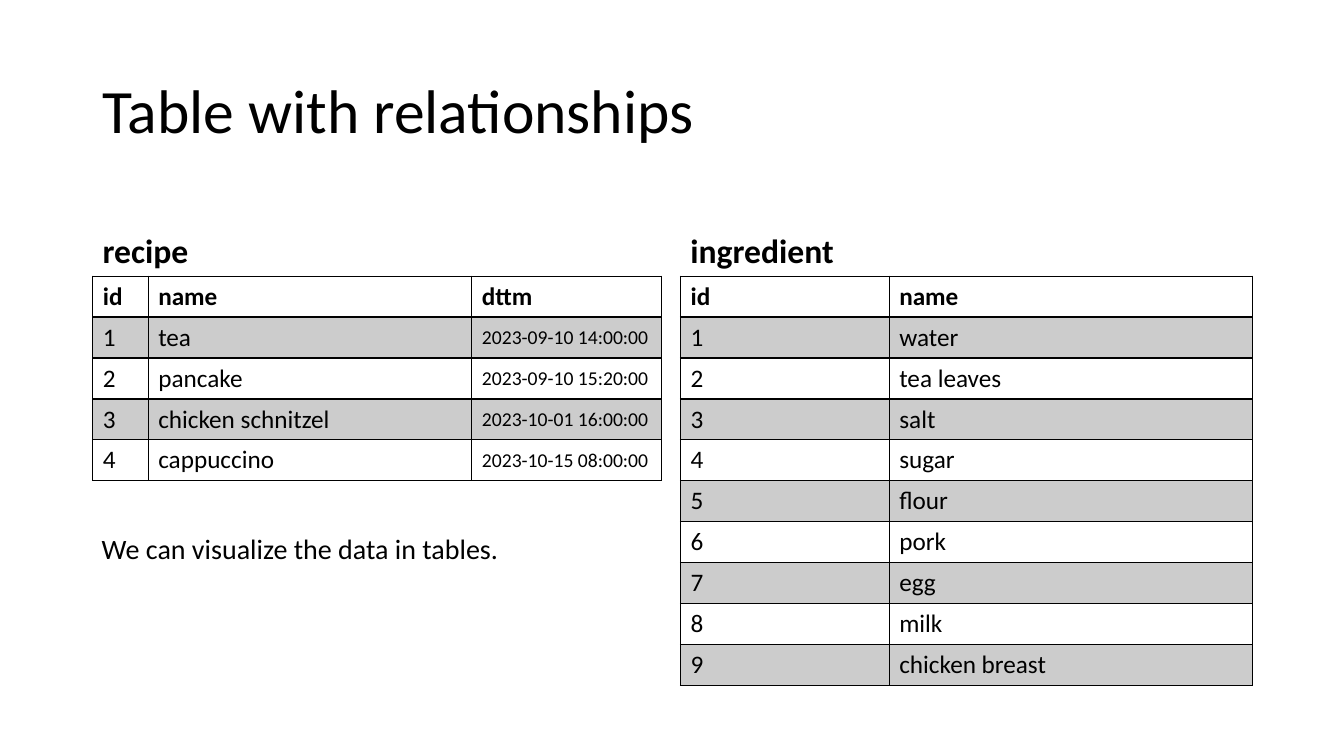
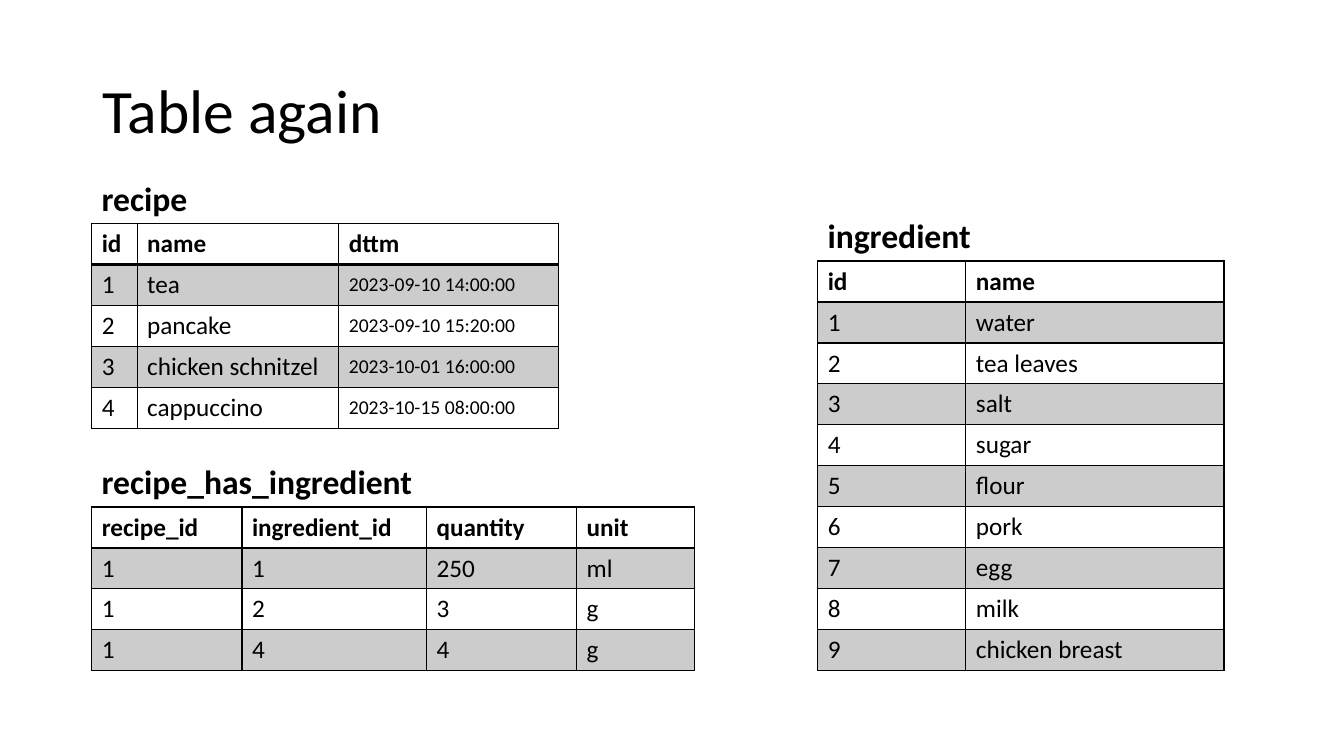
from lxml import etree
from pptx import Presentation
from pptx.dml.color import RGBColor
from pptx.enum.text import MSO_ANCHOR
from pptx.oxml.ns import qn
from pptx.util import Inches, Pt

TOP, MIDDLE, BOTTOM = MSO_ANCHOR.TOP, MSO_ANCHOR.MIDDLE, MSO_ANCHOR.BOTTOM
BLANK_LAYOUT = 6

RECIPE = [
    ("id", "name", "dttm"),
    ("1", "tea", "2023-09-10 14:00:00"),
    ("2", "pancake", "2023-09-10 15:20:00"),
    ("3", "chicken schnitzel", "2023-10-01 16:00:00"),
    ("4", "cappuccino", "2023-10-15 08:00:00"),
]
INGREDIENT_NAMES = ["water", "tea leaves", "salt", "sugar", "flour",
                    "pork", "egg", "milk", "chicken breast"]
INGREDIENT = [("id", "name")] + [
    (str(number), name) for number, name in enumerate(INGREDIENT_NAMES, 1)
]
RECIPE_HAS_INGREDIENT = [
    ("recipe_id", "ingredient_id", "quantity", "unit"),
    ("1", "1", "250", "ml"),
    ("1", "2", "3", "g"),
    ("1", "4", "4", "g"),
]


def color(hex_string):
    return RGBColor.from_string(hex_string)


class TableDeck:
    """Holds the shared style and the slide being filled."""

    FONT = "Calibri"
    INK = "000000"
    BAND = "CCCCCC"
    ROW_HEIGHT = 4.06 / 10
    LABEL_HEIGHT = 0.9
    TIMESTAMP_COLUMN = "dttm"

    def __init__(self):
        self.deck = Presentation()
        self.deck.slide_width = Inches(13.33)
        self.deck.slide_height = Inches(7.5)
        self.slide = None

    def add_slide(self, title):
        layout = self.deck.slide_layouts[BLANK_LAYOUT]
        self.slide = self.deck.slides.add_slide(layout)
        self.add_text(title, 0.92, 0.4, 11.5, 1.45, size=44, anchor=MIDDLE,
                      line_spacing=0.9)

    def set_text(self, frame, text, size=18, bold=False, line_spacing=None,
                 space_before=None):
        para = frame.paragraphs[0]
        para.line_spacing = line_spacing
        if space_before is not None:
            para.space_before = Pt(space_before)
        span = para.add_run()
        span.text = text
        span.font.name = self.FONT
        span.font.size = Pt(size)
        span.font.bold = bold
        span.font.color.rgb = color(self.INK)

    def add_text(self, text, left, top, width, height, anchor=TOP, **text_format):
        box = self.slide.shapes.add_textbox(
            Inches(left), Inches(top), Inches(width), Inches(height))
        box.text_frame.word_wrap = True
        box.text_frame.vertical_anchor = anchor
        self.set_text(box.text_frame, text, **text_format)

    def add_labelled_table(self, label, left, top, widths, records):
        """Draw a banded table at left, top with its name right above it."""
        width = sum(widths)
        self.add_text(label, left, top - self.LABEL_HEIGHT, width,
                      self.LABEL_HEIGHT, size=24, bold=True, anchor=BOTTOM,
                      line_spacing=0.9, space_before=10)
        table = self.slide.shapes.add_table(
            len(records), len(widths), Inches(left), Inches(top),
            Inches(width), Inches(self.ROW_HEIGHT * len(records))).table
        table.horz_banding = False
        for column, column_width in zip(table.columns, widths):
            column.width = Inches(column_width)
        for row, record in enumerate(records):
            for column, text in enumerate(record):
                is_timestamp = row > 0 and records[0][column] == self.TIMESTAMP_COLUMN
                self.fill_cell(table.cell(row, column), text, row,
                               size=14 if is_timestamp else 18)

    def fill_cell(self, cell, text, row, size):
        is_header = row == 0
        cell.vertical_anchor = TOP if is_header else MIDDLE
        self.set_text(cell.text_frame, text, size=size, bold=is_header)
        self.add_borders(cell, bottom_width=2 if is_header else 1)
        if row % 2:
            cell.fill.solid()
            cell.fill.fore_color.rgb = color(self.BAND)
        else:
            cell.fill.background()

    def add_borders(self, cell, bottom_width):
        properties = cell._tc.get_or_add_tcPr()
        for side, width in (("L", 1), ("R", 1), ("T", 1), ("B", bottom_width)):
            line = etree.SubElement(properties, qn(f"a:ln{side}"), w=str(Pt(width)))
            fill = etree.SubElement(line, qn("a:solidFill"))
            etree.SubElement(fill, qn("a:srgbClr"), val=self.INK)


def main():
    tables = TableDeck()

    tables.add_slide("Table with relationships")
    tables.add_labelled_table("recipe", 0.92, 2.74, (0.55, 3.21, 1.88), RECIPE)
    tables.add_labelled_table("ingredient", 6.75, 2.74, (2.07, 3.6), INGREDIENT)
    tables.add_text("We can visualize the data in tables.",
                    0.91, 5.22, 4.18, 0.44, size=20)

    tables.add_slide("Table again")
    tables.add_labelled_table("recipe", 0.91, 2.22, (0.45, 2, 2.18), RECIPE)
    tables.add_labelled_table("recipe_has_ingredient", 0.91, 5.03,
                              (1.49, 1.83, 1.49, 1.17), RECIPE_HAS_INGREDIENT)
    tables.add_labelled_table("ingredient", 8.11, 2.59, (1.47, 2.56), INGREDIENT)

    tables.deck.save("out.pptx")


if __name__ == "__main__":
    main()
